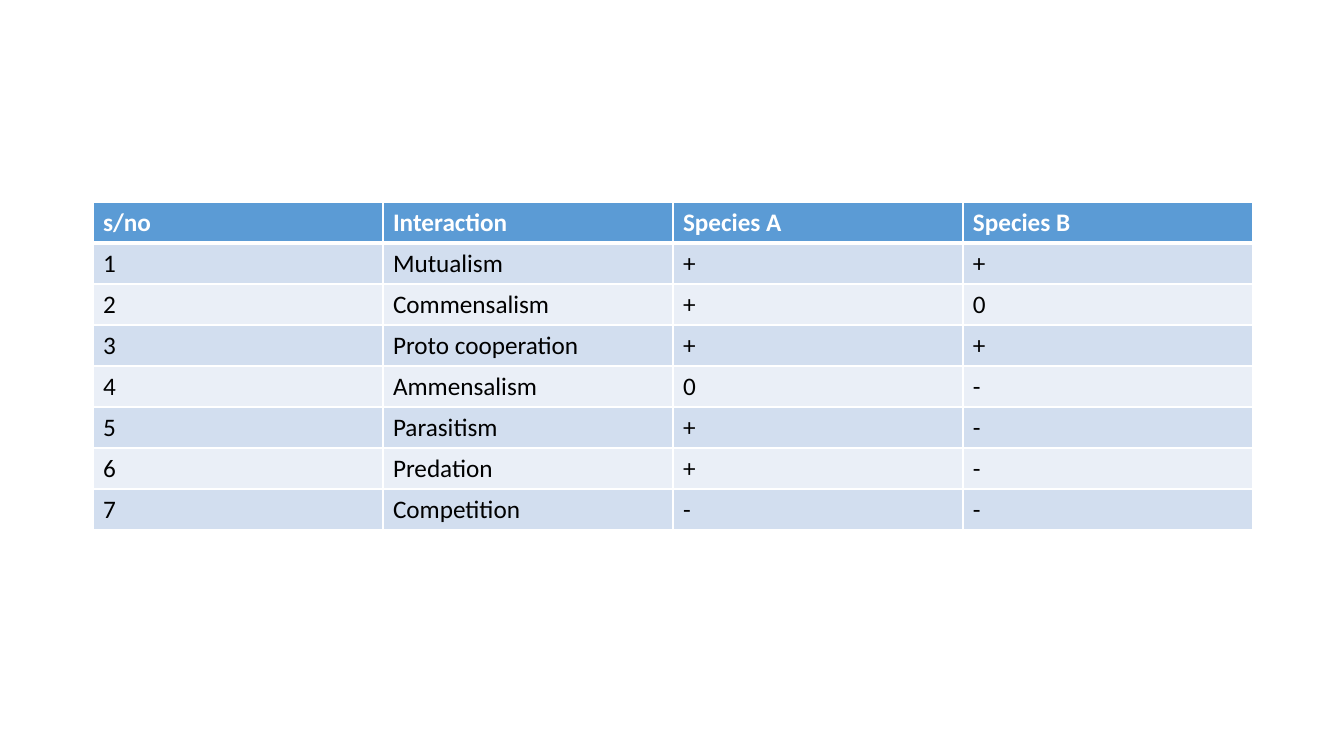
from lxml import etree
from pptx import Presentation, util as u
from pptx.dml.color import RGBColor
from pptx.oxml.ns import qn

PX = 914400 / 100.8
COLORS = {"header": "5B9BD5", "odd": "D2DEEF", "even": "EAEFF7",
          "white": "FFFFFF", "black": "000000"}
LEFT, TOP, COL_WIDTH, ROW_HEIGHT = 93, 202, 290, 41


def px(length):
    return u.Emu(round(length * PX))


def write(cell, words, size=18, color="black", bold=False, font="Calibri"):
    run = cell.text_frame.paragraphs[0].add_run()
    run.text = words
    run.font.name = font
    run.font.size = u.Pt(size)
    run.font.bold = bold
    run.font.color.rgb = RGBColor.from_string(COLORS[color])


interactions = [
    ("s/no", "Interaction", "Species A", "Species B"),
    ("1", "Mutualism", "+", "+"),
    ("2", "Commensalism", "+", "0"),
    ("3", "Proto cooperation", "+", "+"),
    ("4", "Ammensalism", "0", "-"),
    ("5", "Parasitism", "+", "-"),
    ("6", "Predation", "+", "-"),
    ("7", "Competition", "-", "-"),
]

prs = Presentation()
prs.slide_width, prs.slide_height = px(1344), px(756)
slide = prs.slides.add_slide(prs.slide_layouts[6])

row_count, col_count = len(interactions), len(interactions[0])
species_table = slide.shapes.add_table(
    row_count, col_count, px(LEFT), px(TOP),
    px(COL_WIDTH * col_count), px(ROW_HEIGHT * row_count)).table
for column in species_table.columns:
    column.width = px(COL_WIDTH)
for row in species_table.rows:
    row.height = px(ROW_HEIGHT)

for r, entries in enumerate(interactions):
    is_header = r == 0
    band = "header" if is_header else "odd" if r % 2 else "even"
    for c, words in enumerate(entries):
        cell = species_table.cell(r, c)
        write(cell, words, color="white" if is_header else "black", bold=is_header)
        cell_props = cell._tc.get_or_add_tcPr()
        for side in ("lnL", "lnR", "lnT", "lnB"):
            under_header = (r, side) in ((0, "lnB"), (1, "lnT"))
            border = etree.SubElement(cell_props, qn(f"a:{side}"),
                                      w=str(u.Pt(3 if under_header else 1)))
            border_fill = etree.SubElement(border, qn("a:solidFill"))
            etree.SubElement(border_fill, qn("a:srgbClr"), val=COLORS["white"])
        cell.fill.solid()
        cell.fill.fore_color.rgb = RGBColor.from_string(COLORS[band])

prs.save("out.pptx")
